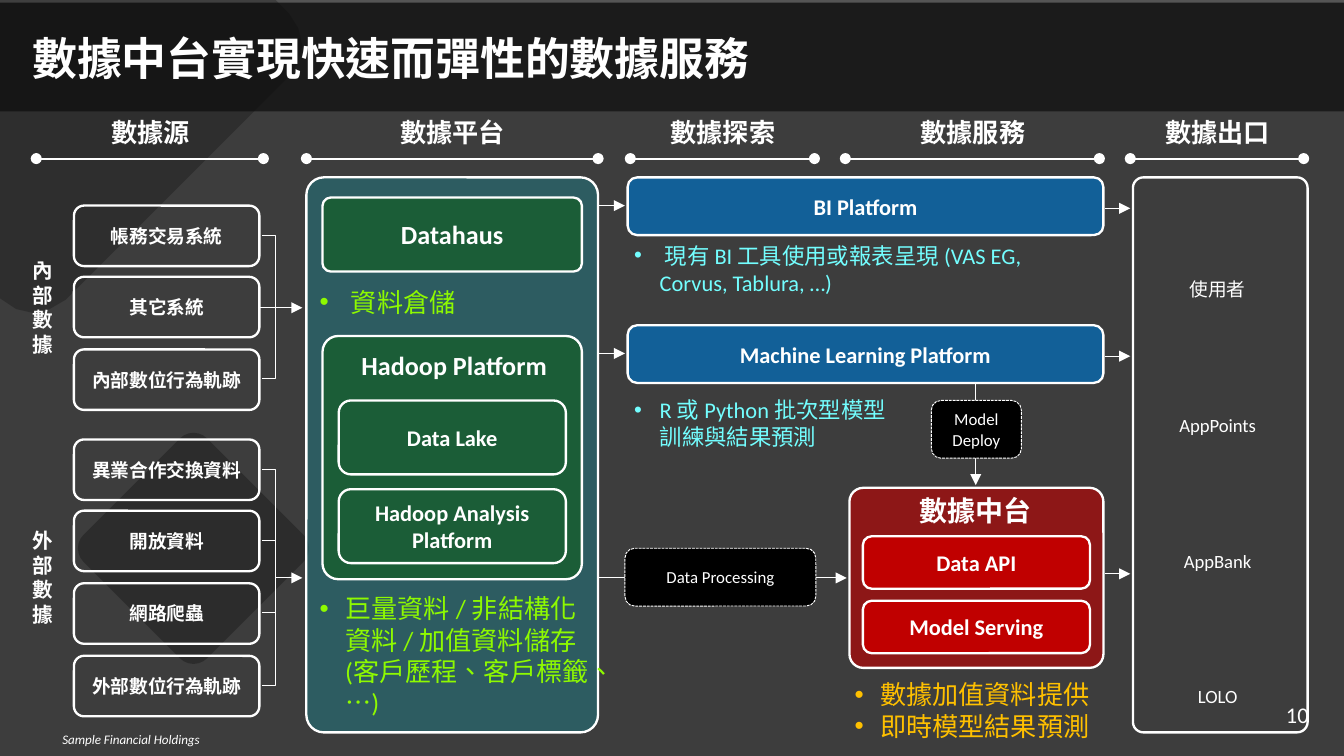
from lxml import etree
from pptx import Presentation
from pptx import util as u
from pptx.dml.color import RGBColor
from pptx.enum import dml, shapes, text
from pptx.oxml.ns import qn

PX = 9144
FONT = "Calibri"
COLORS = {
    "white": "FFFFFF", "black": "000000", "ink": "0D0D0D", "teal": "1F7B85",
    "green": "1B5D37", "blue": "0070C0", "red": "C00000", "cyan": "73FEFF",
    "lime": "8EFA00", "amber": "FFC000",
}


def px(*lengths):
    """Turn px lengths into EMU."""
    return [u.Emu(length * PX) for length in lengths]


def rgb(name):
    """Look up a colour by name."""
    return RGBColor.from_string(COLORS[name])


def write(frame, lines, size, color="white", bold=False, italic=False,
          align=text.PP_ALIGN.CENTER, anchor=text.MSO_ANCHOR.TOP, bullet=False):
    """Fill a text frame with one paragraph for each line."""
    frame.word_wrap = True
    frame.vertical_anchor = anchor
    for index, line in enumerate(lines):
        para = frame.add_paragraph() if index else frame.paragraphs[0]
        para.text = line
        para.alignment = align
        for span in para.runs:
            span._r.get_or_add_rPr().set("lang", "zh-TW")
        if bullet:
            props = para._p.get_or_add_pPr()
            props.set("marL", str(19 * PX))
            props.set("indent", str(-19 * PX))
            etree.SubElement(props, qn("a:buFont")).set("typeface", "Arial")
            etree.SubElement(props, qn("a:buChar")).set("char", "•")
        para.font.name, para.font.size = FONT, u.Pt(size)
        para.font.bold, para.font.italic = bold, italic
        para.font.color.rgb = rgb(color)


def label(page, box, lines, size, **style):
    """Place a plain text box."""
    write(page.shapes.add_textbox(*px(*box)).text_frame, lines, size, **style)


def bullets(page, box, lines, size, color):
    """Place a bulleted text box."""
    label(page, box, lines, size, color=color, align=text.PP_ALIGN.LEFT, bullet=True)


def paint(shape, fill=None, alpha=100, line=None):
    """Set fill, opacity and outline width, without shadow."""
    shape.shadow.inherit = False
    if fill:
        shape.fill.solid()
        shape.fill.fore_color.rgb = rgb(fill)
        if alpha < 100:
            color = shape._element.spPr.find(".//" + qn("a:srgbClr"))
            etree.SubElement(color, qn("a:alpha")).set("val", str(alpha * 1000))
    else:
        shape.fill.background()
    if line:
        shape.line.color.rgb = rgb("white")
        shape.line.width = u.Pt(line)
    else:
        shape.line.fill.background()


def card(page, box, lines=(), size=12, fill=None, alpha=100, radius=None, line=1.25, bold=True):
    """Place an outlined rounded box with centred text."""
    shape = page.shapes.add_shape(shapes.MSO_SHAPE.ROUNDED_RECTANGLE, *px(*box))
    if radius is not None:
        shape.adjustments[0] = radius
    paint(shape, fill, alpha, line)
    write(shape.text_frame, lines, size, bold=bold, anchor=text.MSO_ANCHOR.MIDDLE)
    return shape


def step(page, box, name):
    """Place a black dashed process step."""
    card(page, box, [name], 9, "black", line=0.5, bold=False).line.dash_style = (
        dml.MSO_LINE.SQUARE_DOT)


def connect(page, start, end, width=0.5, head=None, tail="triangle"):
    """Draw a straight white line with optional ends."""
    line = page.shapes.add_connector(shapes.MSO_CONNECTOR.STRAIGHT, *px(*start, *end))
    line.line.color.rgb = rgb("white")
    line.line.width = u.Pt(width)
    stroke = line.line._get_or_add_ln()
    for tag, kind in (("a:headEnd", head), ("a:tailEnd", tail)):
        if kind:
            etree.SubElement(stroke, qn(tag)).set("type", kind)
    etree.SubElement(line._element.spPr, qn("a:effectLst"))


def outline(page, points, close):
    """Build a freeform through the given points."""
    builder = page.shapes.build_freeform(*points[0], scale=PX)
    builder.add_line_segments(points[1:], close=close)
    return builder.convert_to_shape()


def backdrop(page, box):
    """Lay the dark background, its diamonds and the header band."""
    x, y, w, h = box
    base = page.shapes.add_shape(shapes.MSO_SHAPE.RECTANGLE, *px(x - 2, y + 2, w + 2, h))
    paint(base, "ink", 80)
    corner = [(0, 0), (205, 0), (215, 10), (222, 21), (225, 34), (222, 46), (215, 57),
              (49, 223), (37, 230), (25, 233), (12, 230), (0, 222)]
    paint(outline(page, [(x + a, y + b) for a, b in corner], True), "ink", 30)
    paint(page.shapes.add_shape(shapes.MSO_SHAPE.RECTANGLE, *px(x, y, w, 83)), "ink", 70)
    diamond = card(page, (x + 79, y + 343, 130, 130), fill="ink", alpha=34, radius=0.11, line=None)
    diamond.rotation = 315


def heading(page, box, title):
    """Move the title placeholder over the header band."""
    holder = page.shapes.title
    holder.left, holder.top, holder.width, holder.height = px(*box)
    write(holder.text_frame, [title], 24, bold=True, align=text.PP_ALIGN.LEFT,
          anchor=text.MSO_ANCHOR.MIDDLE)
    holder.text_frame.auto_size = text.MSO_AUTO_SIZE.NONE
    holder._element.getparent().append(holder._element)


def column_head(page, box, name):
    """Place a column name centred over a dotted-end rule."""
    x, y, w, h = box
    label(page, (x + (w + 1) // 2 - 55, y, 110, 34), [name], 14, bold=True)
    connect(page, (x, y + h), (x + w, y + h), 1, "oval", "oval")


def sources(page, box, side, names):
    """Stack source systems and bracket them towards the platform."""
    x, y, w, h = box
    tops = [y + int(index * 53.7) for index in range(len(names))]
    middle = y + h // 2
    label(page, (x, middle - 42, 40, 84), list(side), 11, bold=True)
    for top, name in zip(tops, names):
        card(page, (x + 43, top, 138, 45), [name], 10)
    for first, last in zip(tops, tops[2:]):
        ends = first + 22, last + 22
        points = [(x + 183, ends[0]), (x + 193, ends[0]), (x + 193, ends[1]), (x + 183, ends[1])]
        paint(outline(page, points, False), line=0.5)
    start = x + 181 if len(names) % 2 else x + 193
    connect(page, (start, middle), (x + w, middle))


def platform(page, box):
    """Place the data platform with its warehouse and Hadoop parts."""
    x, y, w, h = box
    card(page, box, fill="teal", alpha=50, radius=0.06)
    card(page, (x + 12, y + 15, 193, 55), ["Datahaus"], 14, "green", radius=0.11)
    bullets(page, (x, y + 76, 140, 34), [" 資料倉儲"], 14, "lime")
    card(page, (x + 12, y + 118, 193, 181), fill="green", radius=0.065)
    label(page, (x + 2, y + 123, 216, 34), ["Hadoop Platform"], 14, bold=True)
    card(page, (x + 24, y + 166, 169, 55), ["Data Lake"], fill="green")
    analysis = card(page, (x + 24, y + 232, 169, 55), ["Hadoop Analysis", "Platform"], fill="green")
    analysis.text_frame.margin_left = analysis.text_frame.margin_right = 0
    bullets(page, (x, y + 304, 223, 128),
            ["巨量資料 / 非結構化資料 / 加值資料儲存 (客戶歷程、客戶標籤、…)"], 14, "lime")


def tool(page, box, name, note, note_box):
    """Place a blue tool bar with its arrows and a note below."""
    x, y, w, h = box
    gap, note_width = note_box
    card(page, box, [name], fill="blue", alpha=70)
    connect(page, (x - 22, y + 21), (x - 2, y + 21))
    connect(page, (x + w + 1, y + 23), (x + w + 20, y + 23))
    bullets(page, (x - 5, y + h + gap, note_width, 50), [note], 12, "cyan")


def hub(page, box):
    """Place the data hub, its services, feeding steps and notes."""
    x, y, w, h = box
    card(page, box, fill="red", alpha=61, radius=0.077)
    label(page, (x + 5, y - 1, 178, 35), ["數據中台"], 15, bold=True)
    for row, name in enumerate(["Data API", "Model Serving"]):
        card(page, (x + 10, y + 36 + row * 48, 169, 39), [name], fill="red")
    connect(page, (x - 187, y + 67), (x - 2, y + 67))
    connect(page, (x + 94, y - 78), (x + 94, y - 2))
    connect(page, (x + w + 1, y + 64), (x + w + 20, y + 64))
    step(page, (x + 61, y - 65, 67, 43), "Model Deploy")
    step(page, (x - 167, y + 45, 142, 43), "Data Processing")
    bullets(page, (x - 6, y + 137, 202, 57), ["數據加值資料提供", "即時模型結果預測"], 14, "amber")


def outlets(page, box, names):
    """List the data outlets down one tall frame."""
    x, y, w, h = box
    card(page, box, radius=0.06)
    for row, name in enumerate(names):
        label(page, (x, y + 70 + row * 101, 126, 32), [name], 10)


def main():
    """Build the deck and save it."""
    deck = Presentation()
    deck.slide_width, deck.slide_height = u.Inches(10), u.Inches(5.625)
    page = deck.slides.add_slide(deck.slide_layouts[5])
    backdrop(page, (0, 0, 1000, 562))
    heading(page, (14, 21, 972, 43), "數據中台實現快速而彈性的數據服務")
    columns = [("數據源", 27, 169), ("數據平台", 228, 217), ("數據探索", 469, 137),
               ("數據服務", 629, 189), ("數據出口", 841, 129)]
    for name, left, width in columns:
        column_head(page, (left, 82, width, 36), name)
    sources(page, (12, 153, 213, 152), "內部數據", ["帳務交易系統", "其它系統", "內部數位行為軌跡"])
    sources(page, (12, 327, 213, 206), "外部數據",
            ["異業合作交換資料", "開放資料", "網路爬蟲", "外部數位行為軌跡"])
    platform(page, (228, 132, 217, 413))
    tool(page, (467, 132, 354, 43), "BI Platform",
         " 現有 BI 工具使用或報表呈現 (VAS EG, Corvus, Tablura, …)", (0, 361))
    tool(page, (467, 242, 354, 43), "Machine Learning Platform",
         "R 或 Python 批次型模型訓練與結果預測", (5, 222))
    hub(page, (632, 363, 189, 134))
    outlets(page, (843, 132, 130, 413), ["使用者", "AppPoints", "AppBank", "LOLO"])
    label(page, (6, 539, 183, 22), ["Sample Financial Holdings"], 7, italic=True)
    label(page, (947, 516, 53, 31), ["10"], 12, align=text.PP_ALIGN.LEFT,
          anchor=text.MSO_ANCHOR.MIDDLE)
    deck.save("out.pptx")


if __name__ == "__main__":
    main()
